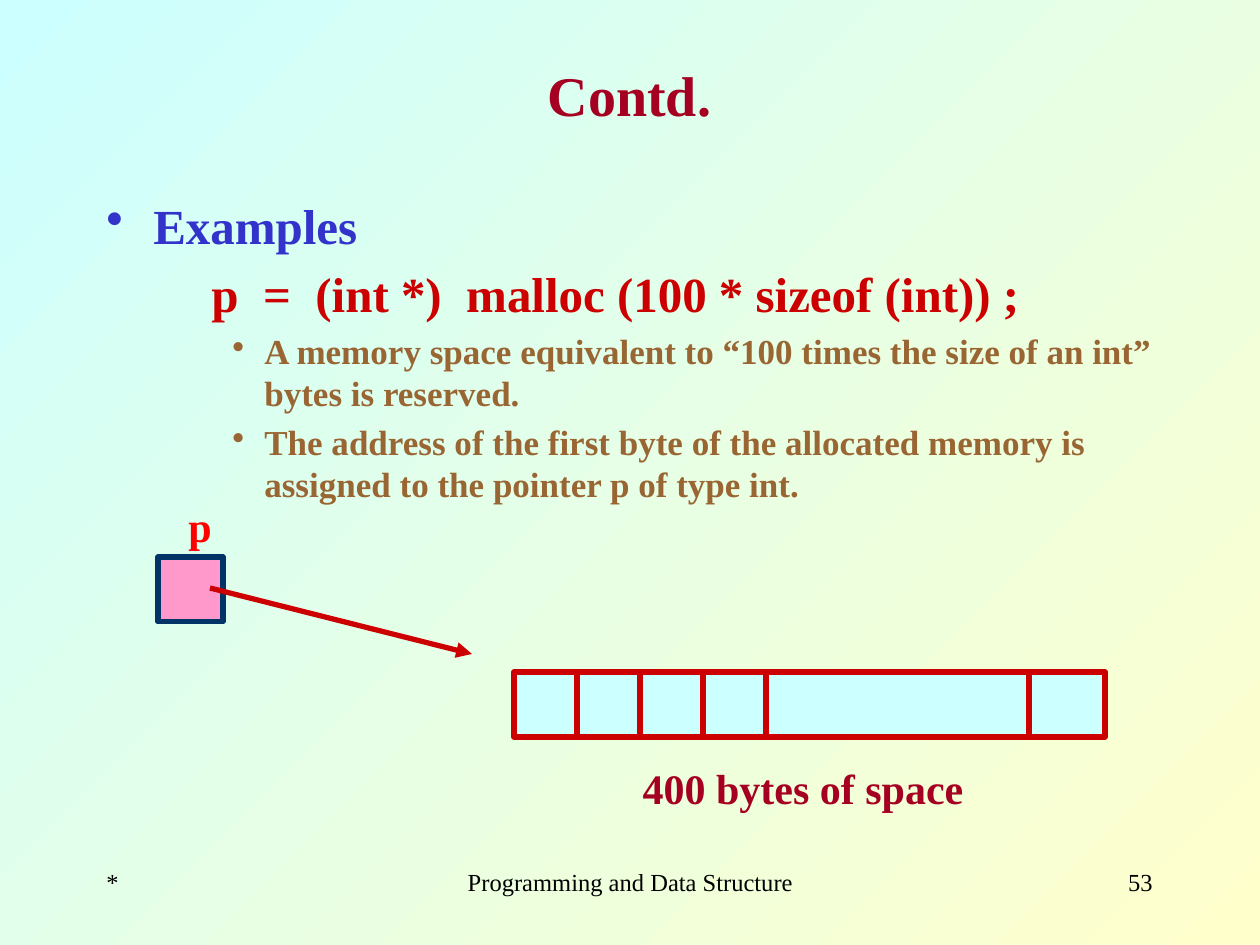
import pptx
import pptx.dml.color
import pptx.enum.shapes
import pptx.enum.text
import pptx.oxml.ns
import pptx.util
from lxml import etree

EMU_PER_PX = 914400 / 126
FONT = "Times New Roman"
COLORS = {
    "sky": "CCFFFF", "cream": "FFFFCC", "black": "000000", "maroon": "A50021",
    "blue": "3333CC", "red": "CC0000", "brown": "996633", "pink": "FF99CC",
    "navy": "003366", "scarlet": "FF0000",
}
ALIGN = pptx.enum.text.PP_ALIGN


def px(length):
    """Turn pixels into EMU."""
    return pptx.util.Emu(round(length * EMU_PER_PX))


def rgb(name):
    """Look up a colour by name."""
    return pptx.dml.color.RGBColor.from_string(COLORS[name])


def add_xml(parent, tag, **attributes):
    """Append a DrawingML element."""
    return etree.SubElement(parent, pptx.oxml.ns.qn(tag), **attributes)


def write(paragraph, text, size, color, bold=True, align=ALIGN.LEFT,
          margin=0, hanging=0, before=0, bullet=False):
    """Fill a paragraph with formatted text."""
    properties = paragraph._p.get_or_add_pPr()
    properties.set("marL", str(px(margin)))
    properties.set("indent", str(-px(hanging)))
    if bullet:
        bullet_color = add_xml(properties, "a:buClr")
        add_xml(bullet_color, "a:srgbClr", val=COLORS[color])
        add_xml(properties, "a:buChar", char="•")
    if before:
        paragraph.space_before = pptx.util.Pt(before)
    paragraph.alignment = align
    run = paragraph.add_run()
    run.text = text
    run.font.name = FONT
    run.font.size = pptx.util.Pt(size)
    run.font.bold = bold
    run.font.color.rgb = rgb(color)


def add_frame(slide, left, top, width, height):
    """Add a wrapping text box and return its text frame."""
    frame = slide.shapes.add_textbox(px(left), px(top), px(width), px(height)).text_frame
    frame.word_wrap = True
    return frame


def add_label(slide, box, text, size, color, **formatting):
    """Add a one-paragraph text box."""
    write(add_frame(slide, *box).paragraphs[0], text, size, color, **formatting)


def add_box(slide, left, top, width, height, fill, line):
    """Add an outlined rectangle."""
    box = slide.shapes.add_shape(
        pptx.enum.shapes.MSO_SHAPE.RECTANGLE, px(left), px(top), px(width), px(height))
    box.shadow.inherit = False
    box.fill.solid()
    box.fill.fore_color.rgb = rgb(fill)
    box.line.color.rgb = rgb(line)
    box.line.width = pptx.util.Pt(3)


def add_line(slide, x1, y1, x2, y2, arrow=False):
    """Add a red line, with an arrowhead at its end if asked."""
    line = slide.shapes.add_connector(
        pptx.enum.shapes.MSO_CONNECTOR.STRAIGHT, px(x1), px(y1), px(x2), px(y2))
    line.line.color.rgb = rgb("red")
    line.line.width = pptx.util.Pt(3)
    if arrow:
        add_xml(line.line._get_or_add_ln(), "a:tailEnd", type="triangle")
    add_xml(line._element.spPr, "a:effectLst")


def add_background(slide):
    """Paint the diagonal gradient."""
    fill = slide.background.fill
    fill.gradient()
    fill.gradient_angle = 315
    for stop, color in zip(fill.gradient_stops, ("sky", "cream")):
        stop.color.rgb = rgb(color)


def add_title(slide, text):
    """Place and format the title."""
    title = slide.shapes.title
    title.left, title.top, title.width, title.height = px(94), px(42), px(1071), px(105)
    title.text_frame.vertical_anchor = pptx.enum.text.MSO_ANCHOR.MIDDLE
    write(title.text_frame.paragraphs[0], text, 32, "maroon", align=ALIGN.CENTER)


def add_body(slide):
    """Add the example with its explanation."""
    frame = add_frame(slide, 94, 189, 1071, 651)
    write(frame.paragraphs[0], "Examples", 28, "blue", margin=47, hanging=47, bullet=True)
    write(frame.add_paragraph(), "p  =  (int *)  malloc (100 * sizeof (int)) ;",
          28, "red", margin=105, before=5.6)
    for explanation in (
        "A memory space equivalent to “100 times the size of an int” bytes is reserved.",
        "The address of the first byte of the allocated memory is assigned to the "
        "pointer p of type int.",
    ):
        paragraph = frame.add_paragraph()
        paragraph.level = 2
        write(paragraph, explanation, 20, "brown",
              margin=158, hanging=32, before=4, bullet=True)


def add_memory(slide):
    """Draw the allocated block, divided into cells."""
    left, top, width, height, cell = 514, 672, 591, 65, 63
    add_box(slide, left, top, width, height, "sky", "red")
    dividers = [left + cell * count for count in range(1, 5)] + [1029]
    for x in dividers:
        add_line(slide, x, top, x, top + height)
    add_label(slide, (546, 756, 514, 63), "400 bytes of space", 24, "maroon",
              align=ALIGN.CENTER)


def add_pointer(slide):
    """Draw the pointer p and its arrow to the block."""
    add_box(slide, 158, 557, 65, 65, "pink", "navy")
    add_line(slide, 210, 588, 472, 654, arrow=True)
    add_label(slide, (158, 494, 84, 63), "p", 24, "scarlet", align=ALIGN.CENTER)


def add_footer(slide):
    """Add the date mark, course name and page number."""
    for left, width, text, align in (
        (94, 262, "*", ALIGN.LEFT),
        (431, 399, "Programming and Data Structure", ALIGN.CENTER),
        (903, 262, "53", ALIGN.RIGHT),
    ):
        add_label(slide, (left, 861, width, 63), text, 14, "black", bold=False, align=align)


def main():
    """Build and save the slide."""
    deck = pptx.Presentation()
    deck.slide_width, deck.slide_height = px(1260), px(945)
    slide = deck.slides.add_slide(deck.slide_layouts[5])
    add_background(slide)
    add_footer(slide)
    add_title(slide, "Contd.")
    add_body(slide)
    add_memory(slide)
    add_pointer(slide)
    deck.save("out.pptx")


if __name__ == "__main__":
    main()
